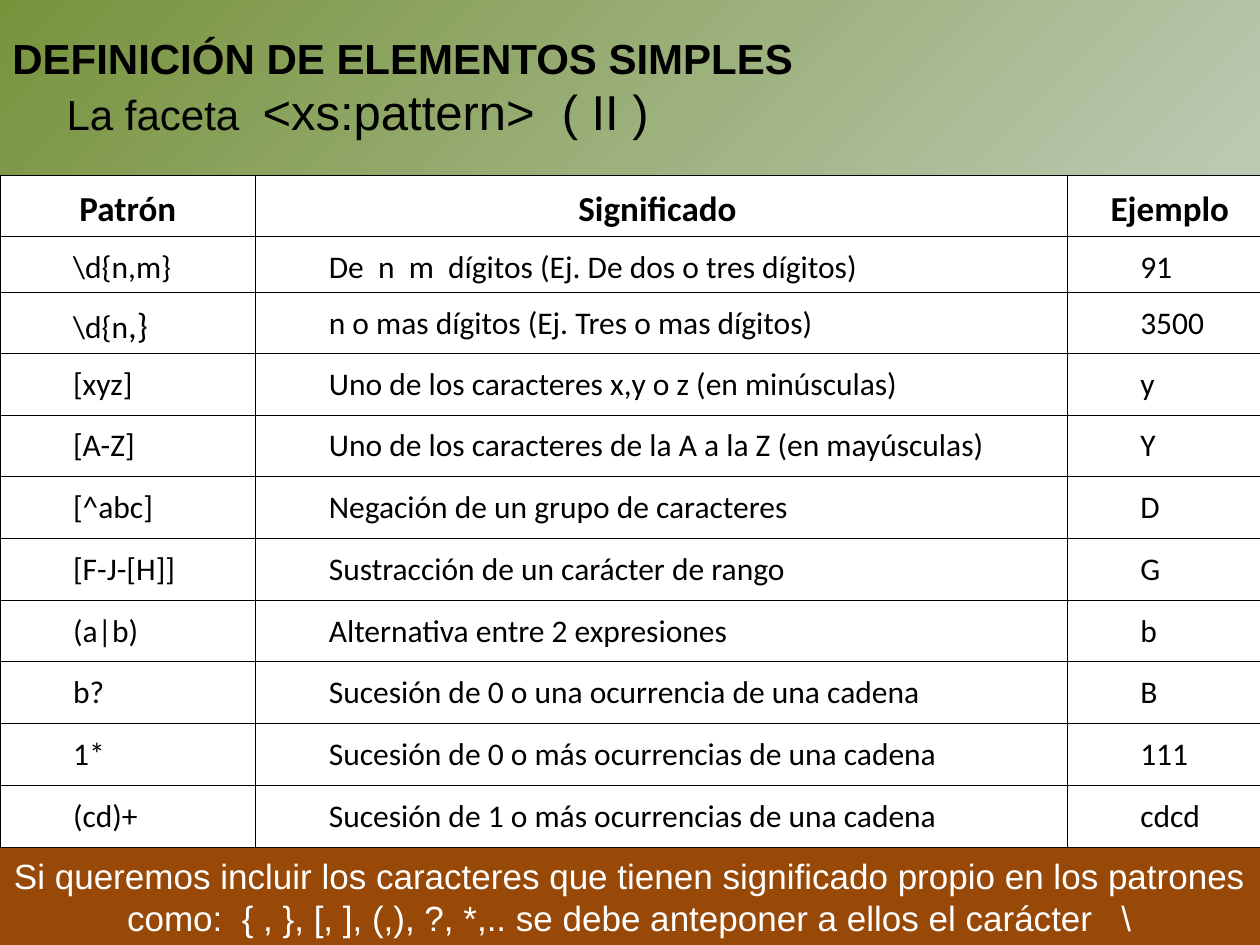
"""Build the slide on the xs:pattern facet with its table of patterns."""
from lxml import etree
from pptx import Presentation
from pptx import util as u
from pptx.dml.color import RGBColor
from pptx.enum import shapes, text
from pptx.oxml import ns

BLACK = RGBColor(0x00, 0x00, 0x00)
WHITE = RGBColor(0xFF, 0xFF, 0xFF)
GREEN = RGBColor(0x77, 0x93, 0x3C)
PALE = RGBColor(0xE1, 0xE8, 0xF5)
BROWN = RGBColor(0x98, 0x48, 0x07)

COLS = [2.03, 6.44, 1.53]
HEIGHTS = [0.47, 0.39, 0.47] + [0.49] * 8
ROWS = [
    ("Patrón", "Significado ", "Ejemplo"),
    (r"\d{n,m}", "De  n  m  dígitos (Ej. De dos o tres dígitos)", "91"),
    (r"\d{n,}", "n o mas dígitos (Ej. Tres o mas dígitos)", "3500"),
    ("[xyz]", "Uno de los caracteres x,y o z (en minúsculas)", "y"),
    ("[A-Z]", "Uno de los caracteres de la A a la Z (en mayúsculas)", "Y"),
    ("[^abc]", "Negación de un grupo de caracteres", "D"),
    ("[F-J-[H]]", "Sustracción de un carácter de rango", "G"),
    ("(a|b)", "Alternativa entre 2 expresiones", "b"),
    ("b?", "Sucesión de 0 o una ocurrencia de una cadena", "B"),
    ("1*", "Sucesión de 0 o más ocurrencias de una cadena", "111"),
    ("(cd)+", "Sucesión de 1 o más ocurrencias de una cadena", "cdcd"),
]


def add_run(p, txt, size=18, font="Arial", color=BLACK, bold=False):
    r = p.add_run()
    r.text = txt
    r.font.size = u.Pt(size)
    r.font.name = font
    r.font.color.rgb = color
    r.font.bold = bold


def add_border(tc_pr, index, side):
    ln = etree.Element(ns.qn(f"a:{side}"), w=str(u.Pt(0.45)))
    fill = etree.SubElement(ln, ns.qn("a:solidFill"))
    etree.SubElement(fill, ns.qn("a:srgbClr"), val=str(BLACK))
    tc_pr.insert(index, ln)


prs = Presentation()
prs.slide_width, prs.slide_height = u.Inches(10), u.Inches(7.5)
s = prs.slides.add_slide(prs.slide_layouts[6])

bg = s.background.fill
bg.gradient()
bg.gradient_angle = 315
for stop, color in zip(bg.gradient_stops, (GREEN, PALE)):
    stop.color.rgb = color

headings = [
    ((0, 0.21, 6.77, 0.5), [("DEFINICIÓN DE ELEMENTOS SIMPLES", 24, True)]),
    ((0.43, 0.6, 9.57, 0.57),
     [("La faceta  ", 24, False), ("<xs:pattern>  ( II )", 28, False)]),
]
for box, runs in headings:
    tf = s.shapes.add_textbox(*map(u.Inches, box)).text_frame
    tf.word_wrap = True
    tf.auto_size = text.MSO_AUTO_SIZE.SHAPE_TO_FIT_TEXT
    for txt, size, bold in runs:
        add_run(tf.paragraphs[0], txt, size=size, bold=bold)

tbl = s.shapes.add_table(len(ROWS), len(COLS), u.Inches(0), u.Inches(1.39),
                         u.Inches(10), u.Inches(sum(HEIGHTS))).table
for col, width in zip(tbl.columns, COLS):
    col.width = u.Inches(width)
for row, height in zip(tbl.rows, HEIGHTS):
    row.height = u.Inches(height)

for i, row in enumerate(ROWS):
    for j, txt in enumerate(row):
        cell = tbl.cell(i, j)
        cell.margin_left = cell.margin_right = u.Inches(0.08)
        cell.fill.solid()
        cell.fill.fore_color.rgb = WHITE
        tc_pr = cell._tc.get_or_add_tcPr()
        for k, side in enumerate(("lnL", "lnR", "lnT", "lnB")):
            add_border(tc_pr, k, side)
        p = cell.text_frame.paragraphs[0]
        p.line_spacing = 1.15
        header = i == 0
        if header:
            p.alignment = text.PP_ALIGN.CENTER
        indent = 0.5 if not header else 0.1 if j == 2 else 0
        p._p.get_or_add_pPr().set("marL", str(u.Inches(indent)))
        if txt == r"\d{n,}":
            add_run(p, txt[:-2], font="Calibri")
            add_run(p, txt[-2:], size=20, font="Calibri")
        else:
            add_run(p, txt, size=20 if header else 18, font="Calibri", bold=header)

sp = s.shapes.add_shape(shapes.MSO_SHAPE.RECTANGLE, u.Inches(0), u.Inches(6.73),
                        u.Inches(10), u.Inches(0.77))
sp.shadow.inherit = False
sp.fill.solid()
sp.fill.fore_color.rgb = BROWN
sp.line.fill.background()
tf = sp.text_frame
tf.word_wrap = True
tf.auto_size = text.MSO_AUTO_SIZE.SHAPE_TO_FIT_TEXT
p = tf.paragraphs[0]
p.alignment = text.PP_ALIGN.CENTER
add_run(p, "Si queremos incluir los caracteres que tienen significado propio en los "
        "patrones como:  { , }, [, ], (,), ?, *,.. se debe anteponer a ellos el "
        "carácter   \\", size=20, color=WHITE)

prs.save("out.pptx")
